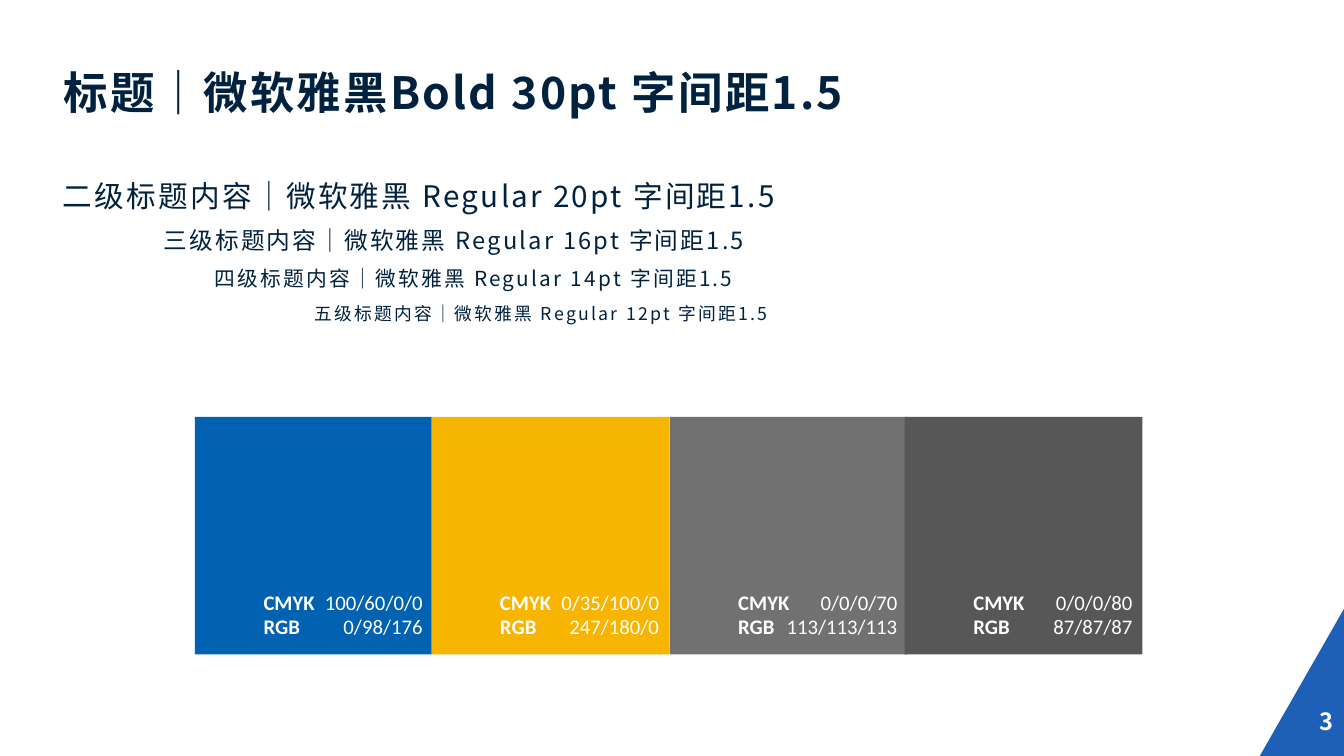
from dataclasses import dataclass

from pptx import Presentation
from pptx.dml.color import RGBColor
from pptx.enum.shapes import MSO_SHAPE
from pptx.enum.text import MSO_ANCHOR, MSO_AUTO_SIZE, PP_ALIGN
from pptx.oxml.ns import qn
from pptx.util import Pt

RECTANGLE = MSO_SHAPE.RECTANGLE
TOP, MIDDLE, BOTTOM = MSO_ANCHOR.TOP, MSO_ANCHOR.MIDDLE, MSO_ANCHOR.BOTTOM
LEFT, RIGHT = PP_ALIGN.LEFT, PP_ALIGN.RIGHT
GROW = MSO_AUTO_SIZE.SHAPE_TO_FIT_TEXT


@dataclass(frozen=True)
class Theme:
    text_font: str = "Noto Sans CJK SC"
    label_font: str = "Calibri"
    ink: str = "00223F"
    white: str = "FFFFFF"
    corner: str = "1E5FB8"
    title_size: int = 30
    label_size: int = 14
    number_size: int = 16
    tracking: float = 1.5
    indent: float = 34


THEME = Theme()
SLIDE_SIZE = (907.2, 510.48)

LEVELS = [
    ("二级标题内容｜微软雅黑 Regular 20pt 字间距1.5", 20, 0, 0),
    ("三级标题内容｜微软雅黑 Regular 16pt 字间距1.5", 16, 2, 4.7),
    ("四级标题内容｜微软雅黑 Regular 14pt 字间距1.5", 14, 3, 4.7),
    ("五级标题内容｜微软雅黑 Regular 12pt 字间距1.5", 12, 5, 4.7),
]

SWATCHES = [
    (131.6, "0062B0", ["100/60/0/0", "0/98/176"], 81.4),
    (291.2, "F7B400", ["0/35/100/0", "247/180/0"], 81.4),
    (452, "717171", ["0/0/0/70", "113/113/113"], 90),
    (610.7, "575757", ["0/0/0/80", "87/87/87"], 68.4),
]


def set_attributes(target, values):
    for name, value in values.items():
        setattr(target, name, value)


def add_text_box(slide, box, **frame_format):
    frame = slide.shapes.add_textbox(*map(Pt, box)).text_frame
    set_attributes(frame, {"word_wrap": True, **frame_format})
    return frame


def write_line(frame, index, text, font_name, size, color,
               bold=False, tracking=0, **paragraph_format):
    paragraph = frame.paragraphs[0] if index == 0 else frame.add_paragraph()
    set_attributes(paragraph, paragraph_format)
    run = paragraph.add_run()
    run.text = text
    set_attributes(run.font, {"name": font_name, "size": Pt(size), "bold": bold})
    run.font.color.rgb = RGBColor.from_string(color)
    properties = run.font._element
    east_asian = properties.makeelement(qn("a:ea"), {"typeface": font_name})
    properties.find(qn("a:latin")).addnext(east_asian)
    if tracking:
        properties.set("spc", str(int(tracking * 100)))
    return paragraph


def fill_shape(shape, color):
    shape.shadow.inherit = False
    shape.fill.solid()
    shape.fill.fore_color.rgb = RGBColor.from_string(color)
    shape.line.fill.background()


def add_corner(slide, box):
    left, top, width, height = box
    right, bottom = left + width, top + height
    builder = slide.shapes.build_freeform(Pt(left), Pt(bottom))
    builder.add_line_segments([(Pt(right), Pt(top)), (Pt(right), Pt(bottom))])
    fill_shape(builder.convert_to_shape(), THEME.corner)


def add_page_number(slide, box, number):
    frame = add_text_box(slide, box, vertical_anchor=MIDDLE)
    write_line(frame, 0, number, THEME.text_font, THEME.number_size,
               THEME.white, bold=True, alignment=RIGHT)


def add_title(slide, box):
    frame = add_text_box(slide, box, margin_left=0, vertical_anchor=BOTTOM)
    write_line(frame, 0, "标题｜微软雅黑Bold 30pt 字间距1.5", THEME.text_font,
               THEME.title_size, THEME.ink, bold=True,
               tracking=THEME.tracking, line_spacing=0.9)


def add_levels(slide, box):
    frame = add_text_box(slide, box, margin_left=0, vertical_anchor=TOP)
    for index, (text, size, steps, space) in enumerate(LEVELS):
        paragraph = write_line(frame, index, text, THEME.text_font, size, THEME.ink,
                               tracking=THEME.tracking, line_spacing=1.2,
                               space_before=Pt(space))
        margin = str(int(Pt(THEME.indent * steps)))
        paragraph._p.get_or_add_pPr().set("marL", margin)


def add_swatch(slide, box, color, values, values_width):
    left, top, width, height = box
    fill_shape(slide.shapes.add_shape(RECTANGLE, *map(Pt, box)), color)
    text_top, text_height = top + height - 47.5, 41
    columns = [
        (left + 39.2, 49.7, ["CMYK", "RGB"], True, LEFT),
        (left + width + 0.5 - values_width, values_width, values, False, RIGHT),
    ]
    for text_left, text_width, lines, bold, alignment in columns:
        frame = add_text_box(slide, (text_left, text_top, text_width, text_height),
                             word_wrap=False, auto_size=GROW)
        for index, line in enumerate(lines):
            write_line(frame, index, line, THEME.label_font, THEME.label_size,
                       THEME.white, bold=bold, alignment=alignment)


def main():
    presentation = Presentation()
    presentation.slide_width, presentation.slide_height = map(Pt, SLIDE_SIZE)
    slide = presentation.slides.add_slide(presentation.slide_layouts[6])
    add_corner(slide, (850.4, 411.2, 56.8, 99.28))
    add_levels(slide, (42.5, 111.6, 822, 356.4))
    add_title(slide, (42.9, 43.2, 821.5, 41))
    for left, color, values, values_width in SWATCHES:
        add_swatch(slide, (left, 281.5, 160.4, 160.4), color, values, values_width)
    add_page_number(slide, (702.7, 473, 204.5, 27.4), "3")
    presentation.save("out.pptx")


if __name__ == "__main__":
    main()
